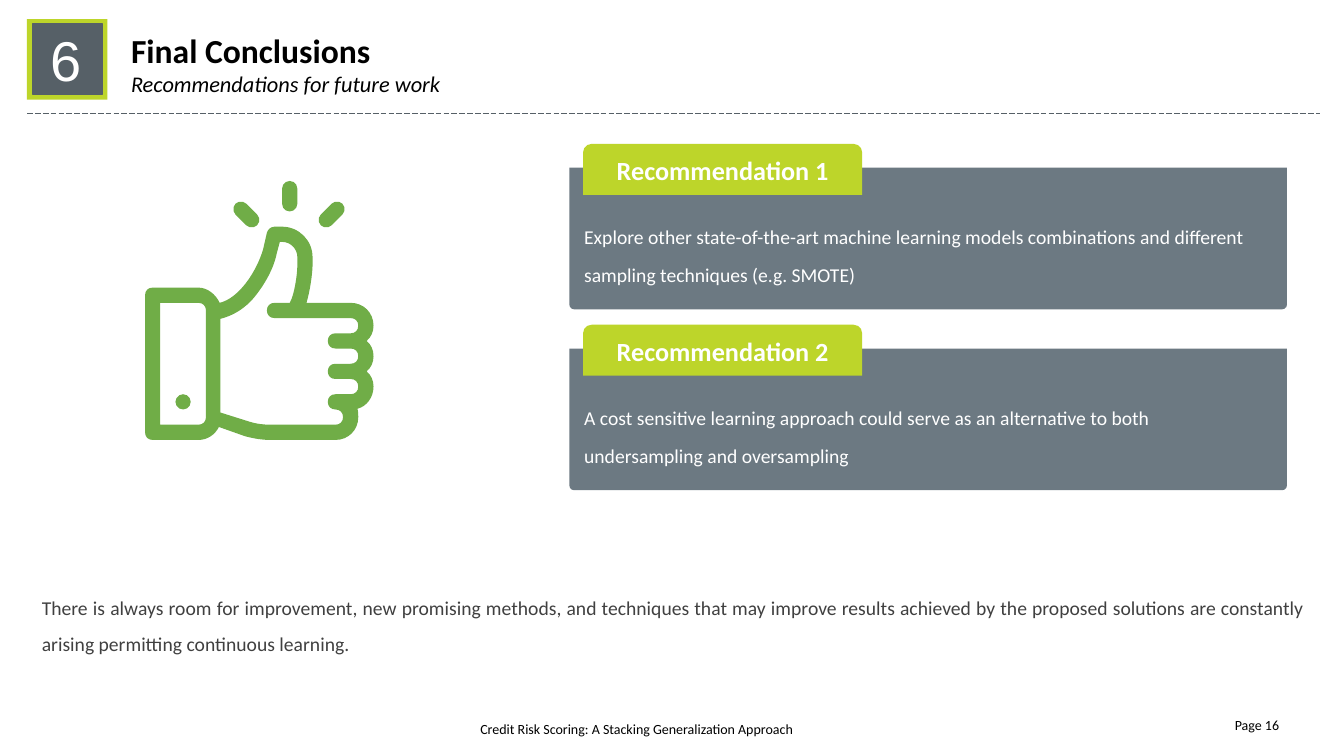
from dataclasses import dataclass

from lxml.etree import SubElement
from pptx import Presentation
from pptx.dml.color import RGBColor as Color
from pptx.enum.dml import MSO_LINE
from pptx.enum.shapes import MSO_CONNECTOR as Connector, MSO_SHAPE as Shape
from pptx.enum.text import MSO_ANCHOR as Anchor, MSO_AUTO_SIZE as AutoSize, PP_ALIGN as Align
from pptx.oxml.ns import qn
from pptx.util import Pt


@dataclass(frozen=True)
class Theme:
    lime: str = "BDD52A"
    slate: str = "566067"
    panel: str = "6C7982"
    green: str = "70AD47"
    white: str = "FFFFFF"
    black: str = "000000"
    grey: str = "404040"
    badge: float = 40
    title: float = 24
    subtitle: float = 16
    heading: float = 18.7
    body: float = 14
    footer: float = 10


theme = Theme()


def add_block(kind, left, top, width, height, color, adjustments=()):
    shape = slide.shapes.add_shape(kind, Pt(left), Pt(top), Pt(width), Pt(height))
    shape.shadow.inherit = False
    shape.fill.solid()
    shape.fill.fore_color.rgb = Color.from_string(color)
    shape.line.fill.background()
    for index, value in enumerate(adjustments):
        shape.adjustments[index] = value
    return shape


def write(shape, lines, color, align=Align.LEFT, anchor=Anchor.TOP, margins=(7.2, 3.6), spacing=1.0):
    frame = shape.text_frame
    across, down = map(Pt, margins)
    frame_format = dict(word_wrap=True, auto_size=AutoSize.NONE, vertical_anchor=anchor,
                        margin_left=across, margin_right=across, margin_top=down, margin_bottom=down)
    for name, value in frame_format.items():
        setattr(frame, name, value)
    for index, (text, size, extras) in enumerate(lines):
        paragraph = frame.add_paragraph() if index else frame.paragraphs[0]
        paragraph.alignment = align
        paragraph.line_spacing = spacing
        run = paragraph.add_run()
        run.text = text
        run.font.color.rgb = Color.from_string(color)
        font_format = dict(name="Calibri", size=Pt(size), bold=False, italic=False) | extras
        for name, value in font_format.items():
            setattr(run.font, name, value)


presentation = Presentation()
presentation.slide_width = Pt(960)
presentation.slide_height = Pt(540)
slide = presentation.slides.add_slide(presentation.slide_layouts[5])

title = slide.shapes.title
for name, value in dict(left=86.4, top=18, width=557.3, height=55.4).items():
    setattr(title, name, Pt(value))
write(title, [("Final Conclusions", theme.title, {"bold": True}),
              ("Recommendations for future work", theme.subtitle, {"italic": True})], theme.black)

add_block(Shape.RECTANGLE, 19.2, 13.7, 57.6, 57.6, theme.lime)
badge = add_block(Shape.RECTANGLE, 23.2, 17.2, 50, 50, theme.slate)
badge.line.color.rgb = Color.from_string(theme.slate)
badge.line.width = Pt(1)
number = slide.shapes.add_textbox(Pt(32.8), Pt(18), Pt(28.1), Pt(48.2))
write(number, [("6", theme.badge, {"name": "Arial"})], theme.white, Align.CENTER, margins=(0, 0))

divider = slide.shapes.add_connector(Connector.STRAIGHT, Pt(19.4), Pt(80.9), Pt(943.2), Pt(80.9))
divider.line.color.rgb = Color.from_string(theme.slate)
divider.line.width = Pt(0.5)
divider.line.dash_style = MSO_LINE.LONG_DASH
SubElement(divider._element.spPr, qn("a:effectLst"))

icon_left, icon_top, unit = 103.6, 129.3, 5.44
hand_outline = [
    (29.1, 21), (29.7, 20.5, 30, 19.8, 30, 19), (30, 17.3, 28.7, 16, 27, 16), (21.2, 16),
    (21.7, 14.3, 22, 12, 22, 11), (22, 10), (22, 7.8, 20.2, 6, 18, 6), (17, 6),
    (16.5, 6, 16.1, 6.4, 16, 6.8), (15.5, 9), (14.6, 12, 12.3, 15.4, 9.8, 16),
    (9.3, 14.9, 8.2, 14, 7, 14), (1, 14), (0.4, 14, 0, 14.4, 0, 15), (0, 33),
    (0, 33.6, 0.4, 34, 1, 34), (7, 34), (8.2, 34, 9.2, 33.3, 9.7, 32.3), (13.1, 33.5),
    (14.2, 33.8, 15.3, 34, 16.5, 34), (25, 34), (26.7, 34, 28, 32.7, 28, 31),
    (28, 30.6, 28, 30.2, 27.9, 29.9), (29.1, 29.6, 30, 28.4, 30, 27),
    (30, 26.2, 29.7, 25.5, 29.1, 25), (29.7, 24.5, 30, 23.8, 30, 23),
    (30, 22.2, 29.7, 21.5, 29.1, 21),
]
cuff_opening = [
    (8, 31), (8, 31.6, 7.6, 32, 7, 32), (2, 32), (2, 16), (7, 16), (7.6, 16, 8, 16.4, 8, 17),
]
palm_opening = [
    (25, 30), (25.6, 30, 26, 30.4, 26, 31), (26, 31.6, 25.6, 32, 25, 32), (16.5, 32),
    (15.6, 32, 14.6, 31.9, 13.7, 31.6), (9.9, 30.4), (9.9, 18.1),
    (11.5, 17.7, 13.1, 16.8, 14.4, 15.2), (15.7, 13.6, 16.9, 11.5, 17.3, 9.5), (17.7, 8),
    (18, 8), (19.1, 8, 20, 8.9, 20, 10), (20, 11), (20, 12.3, 19.6, 15, 19, 16), (17, 16),
    (16.4, 16, 16, 16.4, 16, 17), (16, 17.6, 16.4, 18, 17, 18),
]
for knuckle in (18, 22, 26):
    palm_opening += [
        (27, knuckle), (27.6, knuckle, 28, knuckle + 0.4, 28, knuckle + 1),
        (28, knuckle + 1.6, 27.6, knuckle + 2, 27, knuckle + 2), (25, knuckle + 2),
        (24.4, knuckle + 2, 24, knuckle + 2.4, 24, knuckle + 3),
        (24, knuckle + 3.6, 24.4, knuckle + 4, 25, knuckle + 4),
    ]

contours = (hand_outline, cuff_opening, palm_opening)
builder = slide.shapes.build_freeform(*map(Pt, hand_outline[0]), scale=unit)
for contour in contours:
    if contour is not hand_outline:
        builder.move_to(*map(Pt, contour[0]))
    builder.add_line_segments([tuple(map(Pt, segment[-2:])) for segment in contour[1:]], close=True)
hand = builder.convert_to_shape(Pt(icon_left), Pt(icon_top))
hand.shadow.inherit = False
hand.fill.solid()
hand.fill.fore_color.rgb = Color.from_string(theme.green)
hand.line.fill.background()

hand_top = 6
segments = [segment for contour in contours for segment in contour[1:]]
edges = list(hand._element.iter(qn("a:lnTo")))
for edge, segment in zip(edges, segments):
    if len(segment) == 6:
        edge.tag = qn("a:cubicBezTo")
        edge.remove(edge[0])
        for x, y in zip(segment[::2], segment[1::2]):
            SubElement(edge, qn("a:pt"), x=str(Pt(x)), y=str(Pt(y - hand_top)))

add_block(Shape.OVAL, icon_left + 4 * unit, icon_top + 28 * unit, 2 * unit, 2 * unit, theme.green)
for center_x, center_y, rotation in ((13.3, 4.4, -45), (19, 2, 0), (24.5, 4.4, 45)):
    ray = add_block(Shape.ROUNDED_RECTANGLE, icon_left + (center_x - 1) * unit,
                    icon_top + (center_y - 2) * unit, 2 * unit, 4 * unit, theme.green, (0.5,))
    ray.rotation = rotation

recommendations = [
    "Explore other state-of-the-art machine learning models combinations and different "
    "sampling techniques (e.g. SMOTE)",
    "A cost sensitive learning approach could serve as an alternative to both "
    "undersampling and oversampling",
]
for index, recommendation in enumerate(recommendations):
    top = 102.8 + index * 129.2
    add_block(Shape.ROUND_2_SAME_RECTANGLE, 406.7, top + 17, 512.6, 101.2, theme.panel, (0, 0.034))
    tab = add_block(Shape.ROUND_2_SAME_RECTANGLE, 416.5, top, 199.4, 36.4, theme.lime)
    write(tab, [(f"Recommendation {index + 1}", theme.heading, {"bold": True})],
          theme.white, Align.CENTER, margins=(9.4, 6))
    description = slide.shapes.add_textbox(Pt(417.3), Pt(top + 48), Pt(486.7), Pt(51))
    write(description, [(recommendation, theme.body, {})], theme.white, margins=(0, 0), spacing=1.6)

closing = slide.shapes.add_textbox(Pt(22.8), Pt(414), Pt(916.6), Pt(55.4))
write(closing, [("There is always room for improvement, new promising methods, and techniques that may "
                 "improve results achieved by the proposed solutions are constantly arising permitting "
                 "continuous learning.", theme.body, {})], theme.grey, Align.JUSTIFY, spacing=1.5)

for text, left, top, align, anchor in (
    ("Credit Risk Scoring: A Stacking Generalization Approach", 336, 511.2, Align.LEFT, Anchor.TOP),
    ("Page 16", 677.3, 510.6, Align.RIGHT, Anchor.MIDDLE),
):
    footer = slide.shapes.add_textbox(Pt(left), Pt(top), Pt(243.4), Pt(14.4))
    write(footer, [(text, theme.footer, {})], theme.black, align, anchor)

presentation.save("out.pptx")
